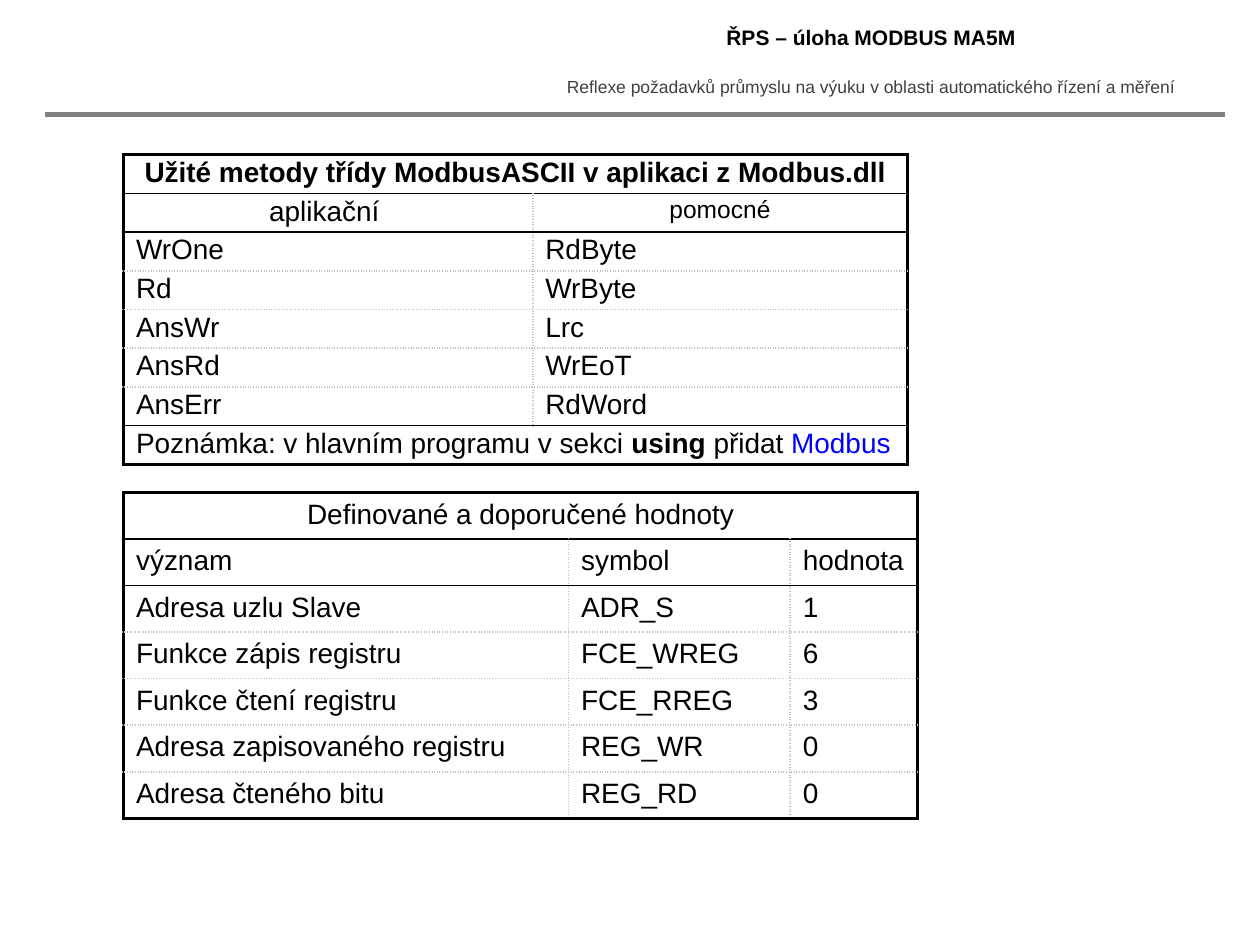
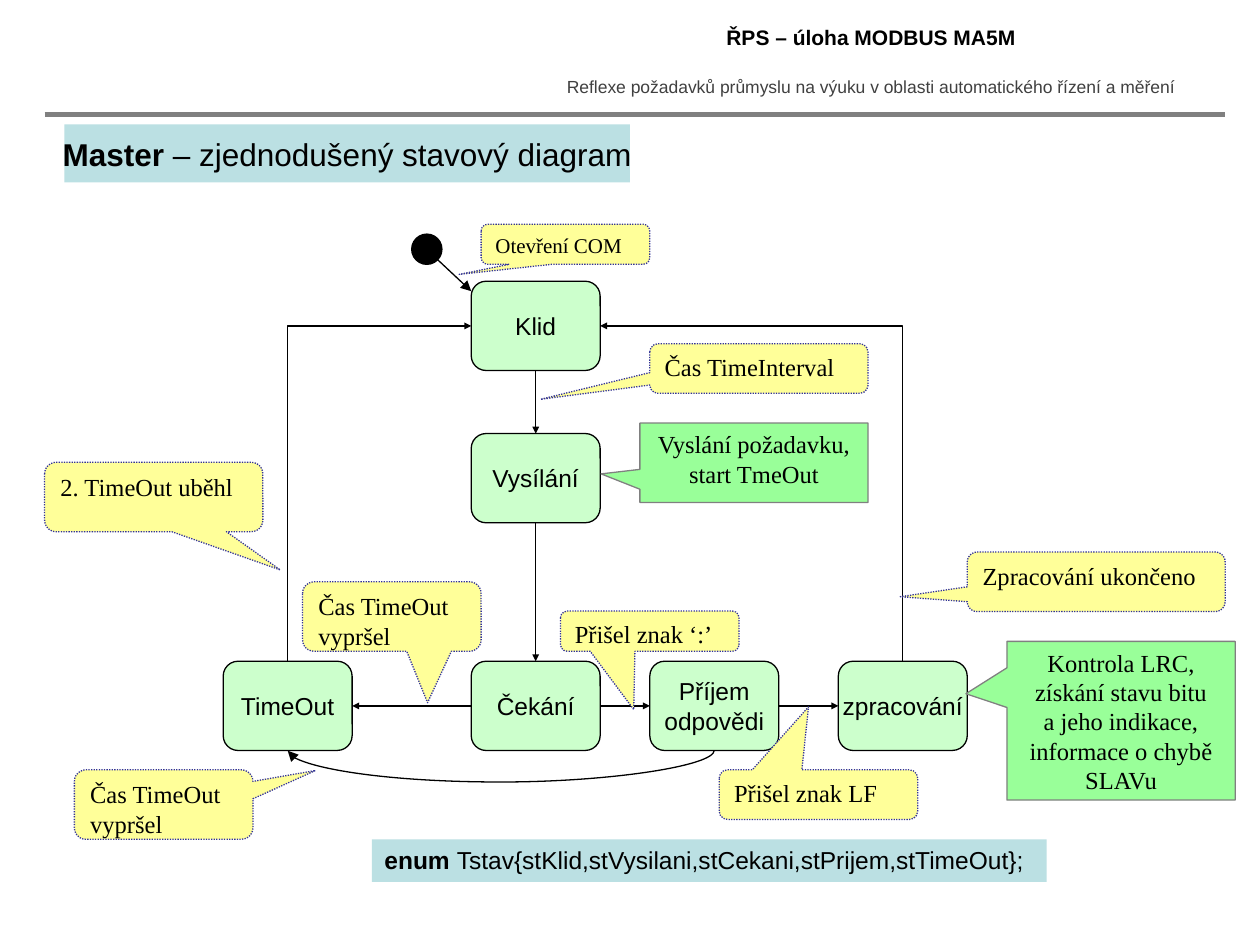
"""Build two slides on the Modbus master: method and value tables, then its state diagram."""
import dataclasses

import lxml.etree
import pptx
import pptx.dml.color
import pptx.enum.dml
import pptx.enum.shapes
import pptx.enum.text
import pptx.oxml
import pptx.oxml.ns
import pptx.util

Cm, Pt = pptx.util.Cm, pptx.util.Pt
ALIGN = pptx.enum.text.PP_ALIGN
ANCHOR = pptx.enum.text.MSO_ANCHOR
SHAPE = pptx.enum.shapes.MSO_SHAPE
CONNECTOR = pptx.enum.shapes.MSO_CONNECTOR
qn = pptx.oxml.ns.qn


@dataclasses.dataclass(frozen=True)
class Theme:
    sans: str = "Arial"
    serif: str = "Times New Roman"
    ink: str = "000000"
    muted: str = "404040"
    rule: str = "808080"
    grid: str = "C0C0C0"
    link: str = "0000FF"
    state: str = "CCFFCC"
    event: str = "FFFF99"
    event_line: str = "333399"
    action: str = "99FF99"
    band: str = "BBE0E3"
    tiny: int = 10
    small: int = 12
    body: int = 14
    table: int = 16
    heading: int = 18
    thin: float = 0.75
    inner: float = 1
    outer: float = 2.25
    thick: float = 3


THEME = Theme()

TITLE = "ŘPS – úloha MODBUS MA5M"
SUBTITLE = "Reflexe požadavků průmyslu na výuku v oblasti automatického řízení a měření"

METHODS = {
    "place": (2.49, 3.12), "columns": (8.25, 7.55), "row": 0.78, "margin": 0.05,
    "solid": {1, 2, 7}, "centred": {0, 1}, "sizes": {(1, 1): THEME.body},
    "rows": [
        [(("Užité metody třídy ModbusASCII v aplikaci z Modbus.dll", "bold"),)],
        ["aplikační ", "pomocné"],
        ["WrOne", "RdByte"],
        ["Rd", "WrByte"],
        ["AnsWr", "Lrc"],
        ["AnsRd", "WrEoT"],
        ["AnsErr", "RdWord"],
        [(("Poznámka: v hlavním programu v sekci ", ""), ("using ", "bold"),
          ("přidat ", ""), ("Modbus", "link"))],
    ],
}
VALUES = {
    "place": (2.49, 9.93), "columns": (8.97, 4.47, 2.57), "row": 0.93, "margin": 0.13,
    "solid": {1, 2}, "centred": {0}, "sizes": {},
    "rows": [
        ["Definované a doporučené hodnoty"],
        ["význam", "symbol", "hodnota"],
        ["Adresa uzlu Slave", "ADR_S", "1"],
        ["Funkce zápis registru", "FCE_WREG", "6"],
        ["Funkce čtení registru", "FCE_RREG", "3"],
        ["Adresa zapisovaného registru", "REG_WR", "0"],
        ["Adresa čteného bitu", "REG_RD", "0"],
    ],
}

HEADING = (("Master", "bold"), (" – zjednodušený stavový diagram", ""))
ENUM = (("enum ", "bold"), ("Tstav{stKlid,stVysilani,stCekani,stPrijem,stTimeOut};", ""))

STATE_SIZE = (2.6, 1.8)
BOTTOM_ROW = 13.33
STATES = {
    "idle": (["Klid"], 9.5, 5.67),
    "sending": (["Vysílání"], 9.5, 8.74),
    "waiting": (["Čekání"], 9.5, BOTTOM_ROW),
    "receiving": (["Příjem", "odpovědi"], 13.1, BOTTOM_ROW),
    "timeout": (["TimeOut"], 4.5, BOTTOM_ROW),
    "processing": (["zpracování"], 16.9, BOTTOM_ROW),
}
START_DOT = (8.3, 4.72, 0.61, 0.61)
START_ARROW = (8.71, 5.13, 9.5, 5.87)
TOP, LEFT, BOTTOM, RIGHT = range(4)
STRAIGHT = [
    ("idle", BOTTOM, "sending", TOP),
    ("sending", BOTTOM, "waiting", TOP),
    ("waiting", RIGHT, "receiving", LEFT),
    ("waiting", LEFT, "timeout", RIGHT),
    ("receiving", RIGHT, "processing", LEFT),
]
BENT = [("processing", TOP, "idle", RIGHT), ("timeout", TOP, "idle", LEFT)]
CURVED = ("receiving", BOTTOM, "timeout", BOTTOM)
CURVE_BOX, CURVE_DEPTH = 0.01, 0.64

EVENTS = [
    (["Otevření COM"], (9.7, 4.52, 3.4, 0.81), (-0.63, 0.75), THEME.small),
    (["Čas TimeInterval"], (13.1, 6.93, 4.4, 1), (-1, 0.62), THEME.body),
    (["Čas TimeOut", "vypršel"], (6.1, 11.73, 3.6, 1.4), (0.2, 1.24), THEME.body),
    (["2. TimeOut uběhl"], (0.9, 9.32, 4.4, 1.4), (0.58, 1.05), THEME.body),
    (["Zpracování ukončeno"], (19.5, 11.13, 5.2, 1.2), (-0.76, 0.25), THEME.body),
    (["Přišel znak ‘:’"], (11.3, 12.32, 3.6, 0.81), (-0.09, 1.95), THEME.body),
    (["Čas TimeOut", "vypršel"], (1.5, 15.52, 3.6, 1.4), (0.85, -0.49), THEME.body),
    (["Přišel znak LF"], (14.5, 15.52, 4, 1), (-0.05, -1.77), THEME.body),
]
ACTIONS = [
    (["Vyslání požadavku,", "start TmeOut"], (12.9, 8.53, 4.6, 1.6), (-0.67, 0.14)),
    (["Kontrola LRC,", "získání stavu bitu", "a jeho indikace,", "informace o chybě SLAVu"],
     (20.3, 12.93, 4.6, 3.2), (-0.68, -0.17)),
]


def rgb(value):
    return pptx.dml.color.RGBColor.from_string(value)


def cm(values):
    return [Cm(value) for value in values]


def write(frame, lines, size, font=THEME.sans, align=ALIGN.LEFT, color=THEME.ink):
    frame.text = ""
    for index, line in enumerate(lines):
        para = frame.add_paragraph() if index else frame.paragraphs[0]
        para.alignment = align
        for text, style in ((line, ""),) if isinstance(line, str) else line:
            span = para.add_run()
            span.text = text
            span.font.name, span.font.size = font, Pt(size)
            span.font.bold = style == "bold"
            span.font.color.rgb = rgb(THEME.link if style == "link" else color)


def add_box(slide, kind, place, fill, line=None, dotted=False):
    box = slide.shapes.add_shape(kind, *cm(place))
    box.shadow.inherit = False
    box.fill.solid()
    box.fill.fore_color.rgb = rgb(fill)
    if line:
        box.line.color.rgb, box.line.width = rgb(line), Pt(THEME.thin)
    else:
        box.line.fill.background()
    if dotted:
        box.line.dash_style = pptx.enum.dml.MSO_LINE.ROUND_DOT
    box.text_frame.word_wrap = True
    box.text_frame.vertical_anchor = ANCHOR.TOP
    return box


def add_line(slide, ends, color=THEME.ink, width=THEME.thin, head=None, kind=CONNECTOR.STRAIGHT):
    line = slide.shapes.add_connector(kind, *cm(ends))
    line.line.color.rgb, line.line.width = rgb(color), Pt(width)
    if head:
        lxml.etree.SubElement(line.line._get_or_add_ln(), qn("a:tailEnd"), type="triangle", w=head, len=head)
    lxml.etree.SubElement(line.element.spPr, qn("a:effectLst"))
    return line


def site(name, side):
    left, top = STATES[name][1:]
    width, height = STATE_SIZE
    across, down = {TOP: (0.5, 0), LEFT: (0, 0.5), BOTTOM: (0.5, 1), RIGHT: (1, 0.5)}[side]
    return left + across * width, top + down * height


def link_states(slide, boxes, link, head="sm", kind=CONNECTOR.STRAIGHT):
    source, source_side, target, target_side = link
    ends = site(source, source_side) + site(target, target_side)
    line = add_line(slide, ends, head=head, kind=kind)
    line.begin_connect(boxes[source], source_side)
    line.end_connect(boxes[target], target_side)
    return line, ends


def turn(line, ends, preset, degrees, mirrored=False, depth=None):
    """Lay a connector out in a box turned by a quarter, so that it leaves upwards or downwards."""
    x1, y1, x2, y2 = ends
    width, height = depth or abs(y2 - y1), abs(x2 - x1)
    line.left, line.top = Cm((x1 + x2 - width) / 2), Cm((y1 + y2 - height) / 2)
    line.width, line.height = Cm(width), Cm(height)
    properties = line.element.spPr
    xfrm = properties.find(qn("a:xfrm"))
    xfrm.set("rot", str(degrees * 60000))
    xfrm.set("flipH", str(int(mirrored)))
    xfrm.set("flipV", "0")
    geometry = properties.find(qn("a:prstGeom"))
    geometry.set("prst", preset)
    return geometry


def set_edges(cell, edges):
    properties = cell._tc.get_or_add_tcPr()
    for index, (side, solid_width) in enumerate(edges.items()):
        line = lxml.etree.Element(qn("a:ln" + side), w=str(Pt(solid_width or THEME.inner)))
        fill = lxml.etree.SubElement(line, qn("a:solidFill"))
        lxml.etree.SubElement(fill, qn("a:srgbClr"), val=THEME.ink if solid_width else THEME.grid)
        lxml.etree.SubElement(line, qn("a:prstDash"), val="solid" if solid_width else "sysDot")
        properties.insert(index, line)


def add_grid(slide, content):
    rows, columns = content["rows"], content["columns"]
    size = (sum(columns), content["row"] * len(rows))
    table = slide.shapes.add_table(len(rows), len(columns), *cm(content["place"] + size)).table
    table.first_row = table.horz_banding = False
    for column, width in zip(table.columns, columns):
        column.width = Cm(width)

    def level(boundary):
        if boundary in (0, len(rows)):
            return THEME.outer
        return THEME.inner if boundary in content["solid"] else None

    for r, texts in enumerate(rows):
        table.rows[r].height = Cm(content["row"])
        if len(texts) == 1:
            table.cell(r, 0).merge(table.cell(r, len(columns) - 1))
        for c, text in enumerate(texts):
            cell = table.cell(r, c)
            cell.fill.background()
            cell.margin_top = cell.margin_bottom = Cm(content["margin"])
            write(cell.text_frame, [text], content["sizes"].get((r, c), THEME.table),
                  align=ALIGN.CENTER if r in content["centred"] else ALIGN.LEFT)
            set_edges(cell, {
                "L": None if c else THEME.outer,
                "R": THEME.outer if c == len(texts) - 1 else None,
                "T": level(r),
                "B": level(r + 1),
            })


def add_page(deck):
    slide = deck.slides.add_slide(deck.slide_layouts[5])
    title = slide.shapes.title
    title.left, title.top, title.width, title.height = cm((10.92, 0.36, 13.28, 0.79))
    title.text_frame.auto_size = pptx.enum.text.MSO_AUTO_SIZE.NONE
    title.text_frame.vertical_anchor = ANCHOR.TOP
    write(title.text_frame, [((TITLE, "bold"),)], THEME.small, align=ALIGN.CENTER)
    subtitle = slide.shapes.add_textbox(*cm((10.92, 1.4, 13.26, 0.69)))
    subtitle.text_frame.word_wrap = True
    write(subtitle.text_frame, [SUBTITLE], THEME.tiny, align=ALIGN.CENTER, color=THEME.muted)
    add_line(slide, (0.9, 2.31, 24.7, 2.31), THEME.rule, THEME.thick)
    return slide


def add_diagram(slide):
    boxes = {}
    for name, (lines, left, top) in STATES.items():
        box = add_box(slide, SHAPE.ROUNDED_RECTANGLE, (left, top) + STATE_SIZE, THEME.state, THEME.ink)
        box.text_frame.word_wrap = False
        box.text_frame.vertical_anchor = ANCHOR.MIDDLE
        write(box.text_frame, lines, THEME.body, align=ALIGN.CENTER)
        boxes[name] = box
    add_box(slide, SHAPE.OVAL, START_DOT, THEME.ink, THEME.ink)
    add_line(slide, START_ARROW, head="med")
    for link in STRAIGHT:
        link_states(slide, boxes, link)
    for link in BENT:
        line, ends = link_states(slide, boxes, link, kind=CONNECTOR.ELBOW)
        leftwards = ends[2] < ends[0]
        turn(line, ends, "bentConnector2", 90 if leftwards else 270, leftwards)
    line, ends = link_states(slide, boxes, CURVED, "med", CONNECTOR.CURVE)
    geometry = turn(line, ends, "curvedConnector3", 90, depth=CURVE_BOX)
    guides = geometry.get_or_add_avLst()
    bend = round(CURVE_DEPTH / CURVE_BOX * 100000)
    lxml.etree.SubElement(guides, qn("a:gd"), name="adj1", fmla=f"val {bend}")
    for lines, place, tip, size in EVENTS:
        box = add_box(slide, SHAPE.ROUNDED_RECTANGULAR_CALLOUT, place, THEME.event, THEME.event_line, True)
        box.adjustments[0], box.adjustments[1] = tip
        write(box.text_frame, lines, size, THEME.serif)
    for lines, place, tip in ACTIONS:
        box = add_box(slide, SHAPE.RECTANGULAR_CALLOUT, place, THEME.action, THEME.rule)
        box.adjustments[0], box.adjustments[1] = tip
        write(box.text_frame, lines, THEME.body, THEME.serif, ALIGN.CENTER)


deck = pptx.Presentation()
deck.slide_width, deck.slide_height = cm((25.4, 19.05))

page = add_page(deck)
add_grid(page, METHODS)
add_grid(page, VALUES)

page = add_page(deck)
add_diagram(page)
heading = add_box(page, SHAPE.RECTANGLE, (1.3, 2.51, 11.4, 1.17), THEME.band)
heading.text_frame.word_wrap = False
heading.text_frame.vertical_anchor = ANCHOR.MIDDLE
write(heading.text_frame, [HEADING], THEME.heading, align=ALIGN.CENTER)
declaration = add_box(page, SHAPE.RECTANGLE, (7.5, 16.92, 13.6, 0.86), THEME.band)
write(declaration.text_frame, [ENUM], THEME.body)

deck.save("out.pptx")
